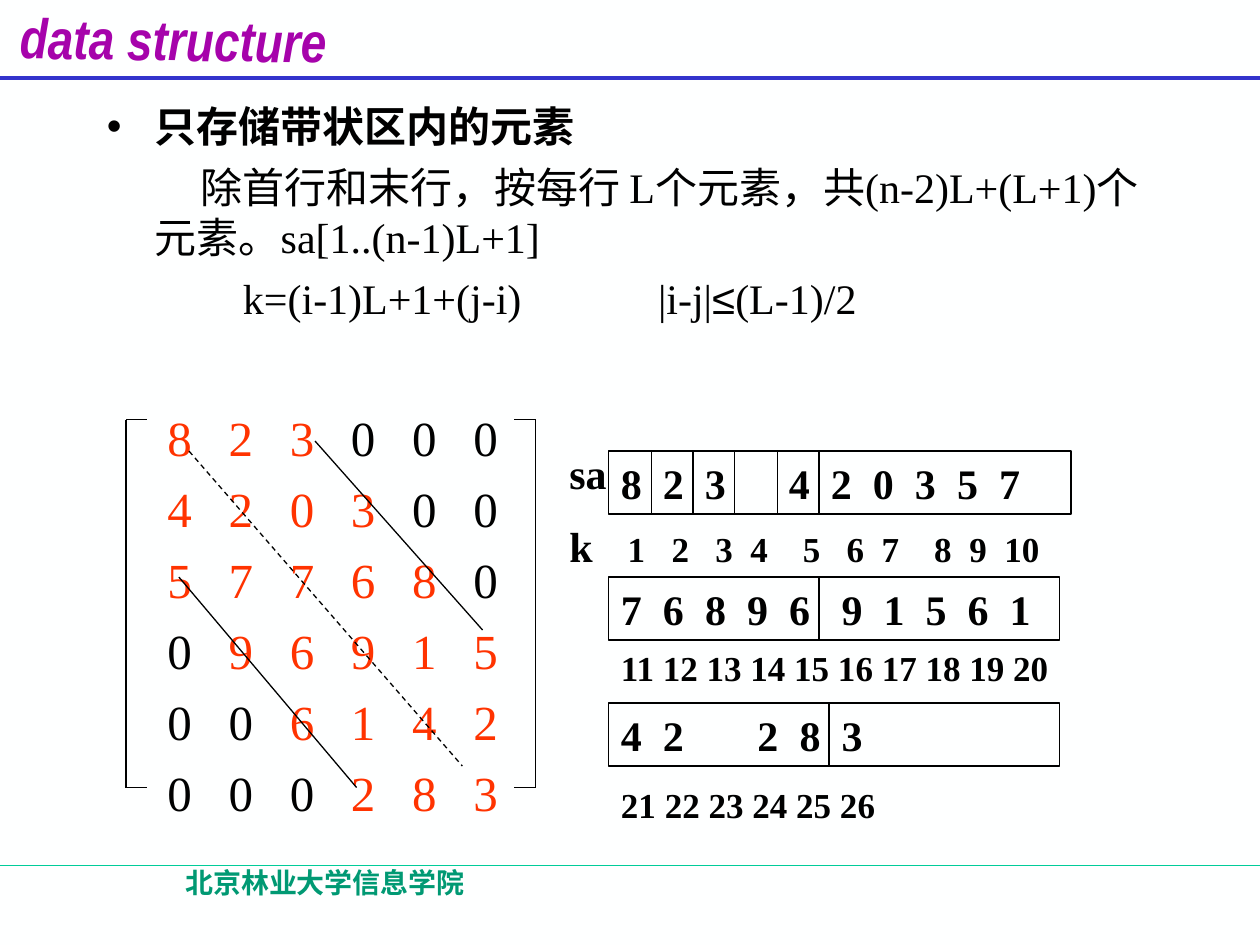
from lxml.etree import SubElement
from pptx import Presentation
from pptx.dml.color import RGBColor
from pptx.enum.dml import MSO_LINE_DASH_STYLE as Dash
from pptx.enum.shapes import MSO_CONNECTOR as Link, MSO_SHAPE as Kind
from pptx.enum.text import MSO_ANCHOR as Anchor, PP_ALIGN as Align
from pptx.oxml.ns import qn
from pptx.util import Inches, Pt

BLACK = RGBColor(0x00, 0x00, 0x00)
RED = RGBColor(0xFF, 0x33, 0x00)
BLUE = RGBColor(0x33, 0x33, 0xCC)
TEAL = RGBColor(0x00, 0xCC, 0x99)
GREEN = RGBColor(0x00, 0x99, 0x73)
PURPLE = RGBColor(0xA6, 0x03, 0xAB)
PAPER = RGBColor(0xFE, 0xFF, 0xFF)
SERIF, HAN = "Times New Roman", "Noto Sans CJK SC"

deck = Presentation()
deck.slide_width, deck.slide_height = Inches(10), Inches(7.5)
slide = deck.slides.add_slide(deck.slide_layouts[6])
slide.background.fill.solid()
slide.background.fill.fore_color.rgb = PAPER


def box(left, top, width, height, frame=False):
    """Add a text box, or an outlined rectangle if frame is set."""
    place = [Inches(n) for n in (left, top, width, height)]
    if frame:
        shape = slide.shapes.add_shape(Kind.RECTANGLE, *place)
        shape.shadow.inherit = False
        shape.fill.background()
        shape.line.color.rgb = BLACK
        shape.line.width = Pt(0.75)
    else:
        shape = slide.shapes.add_textbox(*place)
    shape.text_frame.word_wrap = True
    shape.text_frame.vertical_anchor = Anchor.TOP
    return shape


def write(shape, *runs, size=24, color=BLACK, font=SERIF, bold=False,
          italic=False, align=Align.LEFT, before=0, pitch=1.2,
          left=0, first=0, bullet=None):
    """Add a paragraph.

    A run is a string, (string, {color, font, size}), or a number: one
    space, stretched by letter spacing to that many space widths.
    """
    frame = shape.text_frame
    para = frame.paragraphs[0]
    if para.runs:
        para = frame.add_paragraph()
    props = para._p.get_or_add_pPr()
    props.set("marL", str(Inches(left)))
    props.set("indent", str(Inches(first)))
    if bullet:
        SubElement(props, qn("a:buFont"), typeface="Arial")
        SubElement(props, qn("a:buChar"), char=bullet)
    else:
        SubElement(props, qn("a:buNone"))
    para.alignment = align
    para.space_before = Pt(before)
    if pitch:
        para.line_spacing = Pt(round(size * pitch, 1))
    for item in runs:
        words, look = item if isinstance(item, tuple) else (item, {})
        run = para.add_run()
        mark = run._r.get_or_add_rPr()
        if isinstance(words, int):
            mark.set("spc", str((words - 1) * size * 25))
            words = " "
        run.text = words
        style = run.font
        style.size = Pt(look.get("size", size))
        style.bold, style.italic = bold, italic
        style.color.rgb = look.get("color", color)
        style.name = look.get("font", font)
        SubElement(mark, qn("a:ea"), typeface=HAN)


# Header and footer
title = box(0.02, -0.01, 2.71, 0.54)
title.rotation = 0.8
write(title, "data structure", size=32, color=PURPLE, font="Arial Narrow",
      bold=True, italic=True, align=Align.CENTER)
write(box(0.51, 6.82, 4.14, 0.5), "北京林业大学信息学院", size=16,
      color=GREEN, font=HAN, bold=True, align=Align.CENTER, pitch=None)

# Explanation
body = box(0.75, 0.75, 8.5, 6)
write(body, "只存储带状区内的元素", bold=True, left=0.38, first=-0.38,
      bullet="•")
write(body, "除首行和末行，按每行 L个元素，共(n-2)L+(L+1)个元素。"
      "sa[1..(n-1)L+1]", left=0.38, first=0.36, before=6)
write(body, "k=(i-1)L+1+(j-i)", 13, "|i-j|", ("≤", {"font": "Arial"}),
      "(L-1)/2", left=1.08, before=6)

# Band matrix: elements with |i-j| <= 2 are red
matrix = ("823000", "420300", "577680", "096915", "006142", "000283")
for i, row in enumerate(matrix):
    cells = []
    for j, digit in enumerate(row):
        if j:
            cells.append(3)
        cells.append((digit, {"color": RED if abs(i - j) <= 2 else BLACK}))
    write(body, *cells, size=28, left=0.48, before=7 if i else 48)

# Storage array: top, width, digits, gaps between them, dividers
arrays = (
    (3.58, 3.67, "823420357", (2, 2, 6, 2, 2, 2, 2, 2),
     (5.17, 5.5, 5.83, 6.17, 6.5)),
    (4.58, 3.58, "7689691561", (2, 2, 2, 2, 3, 2, 2, 2, 2), (6.5,)),
    (5.58, 3.58, "42283", (2, 7, 2, 2), (6.58,)),
)
lines = [
    (0, 6.87, 10, 6.87, TEAL, 0.75, None),
    (0, 0.62, 10, 0.62, BLUE, 2.25, None),
    (2.5, 3.5, 3.83, 5, BLACK, 0.75, None),
    (1.42, 4.58, 2.83, 6.25, BLACK, 0.75, None),
    (1.5, 3.58, 3.67, 6.08, BLACK, 0.75, Dash.DASH),
]
for top, width, digits, gaps, marks in arrays:
    cells = [digits[0]]
    for gap, digit in zip(gaps, digits[1:]):
        cells += [gap, digit]
    write(box(4.83, top, width, 0.5, frame=True), *cells, bold=True)
    lines += [(x, top, x, top + 0.5, BLACK, 0.75, None) for x in marks]

# Array labels
write(box(4.42, 3.5, 0.5, 0.5), "sa", bold=True)
index = [("k", {"size": 24})]
for n, gap in enumerate((4, 3, 3, 2, 4, 3, 2, 4, 2, 2), 1):
    index += [gap, str(n)]
write(box(4.42, 4.08, 4.08, 0.5), *index, size=20, bold=True, pitch=1.44)
for top, width, start, stop in ((5.08, 3.67, 11, 20), (6.17, 2.42, 21, 26)):
    write(box(4.83, top, width, 0.44),
          " ".join(str(n) for n in range(start, stop + 1)),
          size=20, bold=True)

# Matrix brackets, then every line
for edge, tip in ((1, 1.17), (4.25, 4.08)):
    lines.append((edge, 3.33, edge, 6.25, BLACK, 0.75, None))
    lines += [(edge, y, tip, y, BLACK, 0.75, None) for y in (3.33, 6.25)]
for x1, y1, x2, y2, color, width, dash in lines:
    line = slide.shapes.add_connector(
        Link.STRAIGHT, Inches(x1), Inches(y1), Inches(x2), Inches(y2))
    line.line.color.rgb = color
    line.line.width = Pt(width)
    if dash:
        line.line.dash_style = dash
    SubElement(line._element.spPr, qn("a:effectLst"))

deck.save("out.pptx")
